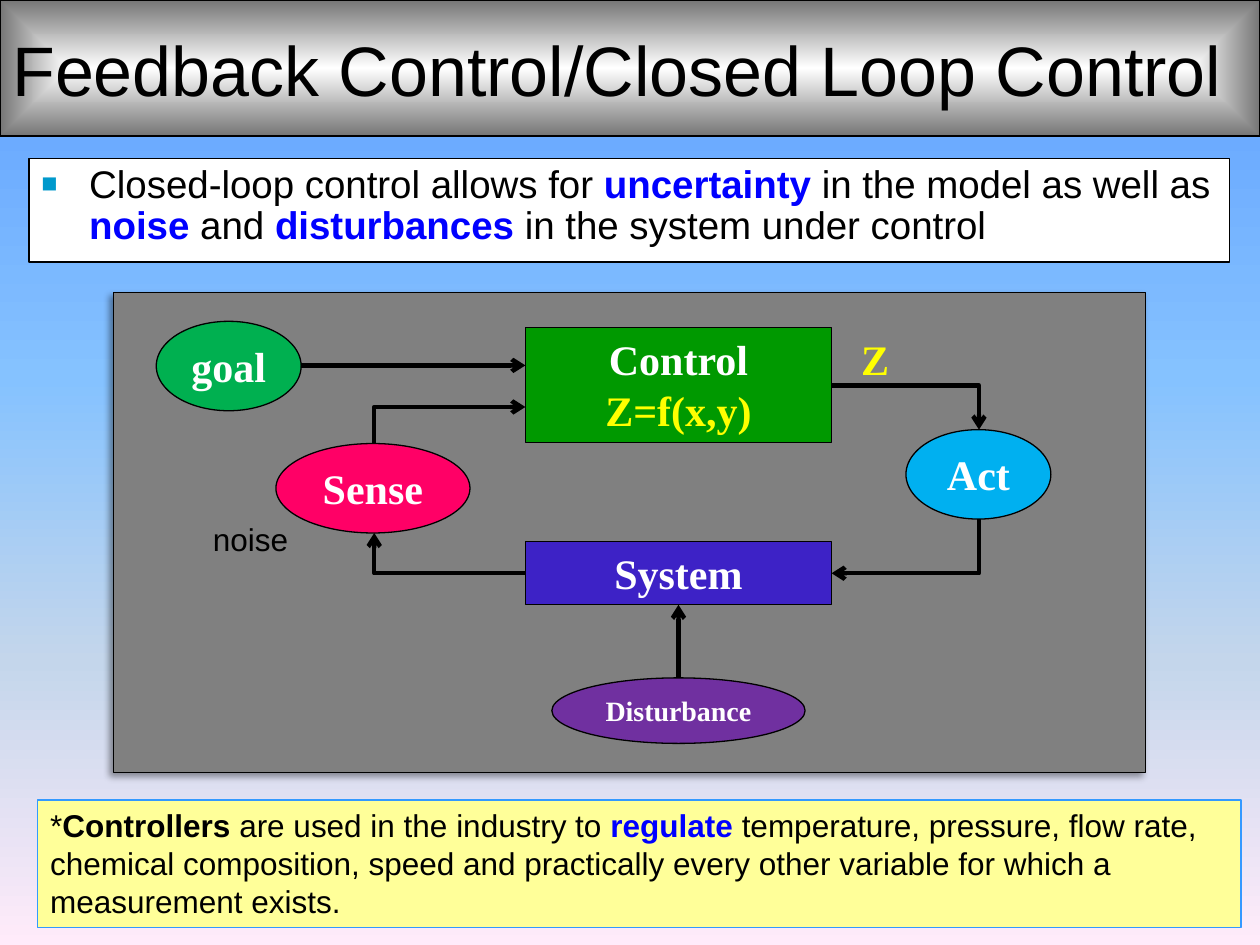
from pptx import Presentation
from pptx.dml.color import RGBColor
from pptx.enum.shapes import MSO_CONNECTOR, MSO_SHAPE
from pptx.enum.text import MSO_ANCHOR, MSO_AUTO_SIZE, PP_ALIGN
from pptx.oxml import parse_xml
from pptx.oxml.ns import nsdecls, qn
from pptx.util import Inches, Pt

BLACK = RGBColor(0x00, 0x00, 0x00)
WHITE = RGBColor(0xFF, 0xFF, 0xFF)
GREY = RGBColor(0x80, 0x80, 0x80)
EDGE_GREY = RGBColor(0x76, 0x76, 0x76)
BLUE = RGBColor(0x00, 0x00, 0xFF)
YELLOW = RGBColor(0xFF, 0xFF, 0x00)
PALE_YELLOW = RGBColor(0xFF, 0xFF, 0x99)
NOTE_EDGE = RGBColor(0x33, 0x99, 0xFF)
BULLET = RGBColor(0x00, 0x99, 0xCC)
GOAL_GREEN = RGBColor(0x00, 0xB0, 0x50)
CONTROL_GREEN = RGBColor(0x00, 0x99, 0x00)
SYSTEM_BLUE = RGBColor(0x3D, 0x22, 0xC6)
ACT_BLUE = RGBColor(0x00, 0xB0, 0xF0)
SENSE_PINK = RGBColor(0xFF, 0x00, 0x66)
DISTURBANCE_PURPLE = RGBColor(0x70, 0x30, 0xA0)
SKY = [(0, RGBColor(0x5E, 0x9E, 0xFF)), (40, RGBColor(0x85, 0xC2, 0xFF)),
       (70, RGBColor(0xC4, 0xD6, 0xEB)), (100, RGBColor(0xFF, 0xEB, 0xFA))]
SKY_SHADE = '<a:lin ang="5400000" scaled="0"/>'
TITLE_SHADE = '<a:path path="shape"><a:fillToRect l="50000" t="50000" r="50000" b="50000"/></a:path>'

BODY = {"name": "Arial", "size": Pt(18), "bold": False}
NODE = {"name": "Times New Roman", "size": Pt(24), "bold": True}
FITTED = {"auto_size": MSO_AUTO_SIZE.SHAPE_TO_FIT_TEXT}


def element(tag, content="", **attributes):
    values = " ".join(f'{key}="{value}"' for key, value in attributes.items())
    return parse_xml(f'<a:{tag} {nsdecls("a")} {values}>{content}</a:{tag}>')


def assign(target, values):
    for key, value in values.items():
        setattr(target, key, value)


class SlideBuilder:
    def __init__(self, page):
        self.page = page

    def gradient(self, owner, fill, stops, shade):
        fill.gradient()
        gradient = next(owner._element.iter(qn("a:gradFill")))
        for child in list(gradient):
            gradient.remove(child)
        marks = "".join(f'<a:gs pos="{place * 1000}"><a:srgbClr val="{color}"/></a:gs>'
                        for place, color in stops)
        wrapper = element("gradFill", f"<a:gsLst>{marks}</a:gsLst>{shade}")
        for child in list(wrapper):
            gradient.append(child)

    def shape(self, kind, place, color, edge=BLACK):
        box = self.page.shapes.add_shape(kind, *map(Inches, place))
        box.shadow.inherit = False
        box.fill.solid()
        box.fill.fore_color.rgb = color
        box.line.color.rgb = edge
        box.line.width = Pt(0.75)
        return box

    def drop_shadow(self, box):
        effects = box._element.spPr.find(qn("a:effectLst"))
        tint = '<a:srgbClr val="000000"><a:alpha val="40000"/></a:srgbClr>'
        effects.append(element("outerShdw", tint, blurRad=Pt(4), dist=Pt(3),
                               dir=135 * 60000, algn="tr", rotWithShape=0))

    def text(self, box, lines, style, color=BLACK, align=PP_ALIGN.LEFT, **frame_values):
        frame = box.text_frame
        assign(frame, {"word_wrap": True, "vertical_anchor": MSO_ANCHOR.TOP, **frame_values})
        for index, line in enumerate(lines):
            para = frame.add_paragraph() if index else frame.paragraphs[0]
            para.alignment = align
            for words, span_color, *bold in line:
                span = para.add_run()
                span.text = words
                assign(span.font, {**style, **({"bold": True} if bold else {})})
                span.font.color.rgb = span_color or color
        return frame

    def bullet(self, para, indent):
        para.line_spacing = 0.9
        properties = para._p.get_or_add_pPr()
        properties.set("marL", str(indent))
        properties.set("indent", str(-indent))
        properties.append(element("buClr", f'<a:srgbClr val="{BULLET}"/>'))
        properties.append(element("buSzPct", val=70000))
        properties.append(element("buFont", typeface="Arial"))
        properties.append(element("buChar", char="■"))

    def node(self, kind, place, color, lines, size=Pt(24)):
        box = self.shape(kind, place, color)
        self.text(box, lines, {**NODE, "size": size}, WHITE, PP_ALIGN.CENTER, **FITTED)
        return box

    def label(self, place, words, style, color, align=PP_ALIGN.LEFT):
        box = self.page.shapes.add_textbox(*map(Inches, place))
        self.text(box, [[(words, color)]], style, align=align, word_wrap=False, **FITTED)

    def arrow(self, start, end, kind=MSO_CONNECTOR.STRAIGHT):
        line = self.page.shapes.add_connector(kind, *map(Inches, (*start, *end)))
        line.line.color.rgb = BLACK
        line.line.width = Pt(2.5)
        line.line._get_or_add_ln().append(element("tailEnd", type="arrow"))
        line._element.spPr.append(element("effectLst"))
        return line

    def elbow(self, start, end, rotation):
        width, height = (abs(b - a) for a, b in zip(start, end))
        if rotation % 180:
            width, height = height, width
        middle_x, middle_y = ((a + b) / 2 for a, b in zip(start, end))
        left, top = middle_x - width / 2, middle_y - height / 2
        line = self.arrow((left, top), (left + width, top + height), MSO_CONNECTOR.ELBOW)
        properties = line._element.spPr
        properties.find(qn("a:prstGeom")).set("prst", "bentConnector2")
        properties.find(qn("a:xfrm")).set("rot", str(rotation * 60000))


def main():
    deck = Presentation()
    deck.slide_width, deck.slide_height = Inches(10), Inches(7.5)
    page = deck.slides.add_slide(deck.slide_layouts[6])
    builder = SlideBuilder(page)
    builder.gradient(page, page.background.fill, SKY, SKY_SHADE)
    rectangle, oval = MSO_SHAPE.RECTANGLE, MSO_SHAPE.OVAL

    builder.drop_shadow(builder.shape(rectangle, (0.9, 2.32, 8.19, 3.81), GREY))

    title = builder.shape(rectangle, (0, 0, 10, 1.08), WHITE)
    builder.gradient(title, title.fill, [(0, WHITE), (100, EDGE_GREY)], TITLE_SHADE)
    builder.text(title, [[("Feedback Control/Closed Loop Control", BLACK)]],
                 {**BODY, "size": Pt(40)}, word_wrap=False, vertical_anchor=MSO_ANCHOR.MIDDLE)

    summary = builder.shape(rectangle, (0.23, 1.26, 9.53, 0.82), WHITE)
    frame = builder.text(summary, [[
        ("Closed-loop control allows for ", BLACK), ("uncertainty ", BLUE, True),
        ("in the model as well as ", BLACK), ("noise", BLUE, True), (" and ", BLACK),
        ("disturbances ", BLUE, True), ("in the system under control", BLACK),
    ]], {**BODY, "size": Pt(22)})
    builder.bullet(frame.paragraphs[0], Inches(0.38))

    builder.node(oval, (1.24, 2.55, 1.15, 0.71), GOAL_GREEN, [[("goal", None)]])
    builder.node(rectangle, (4.17, 2.6, 2.43, 0.91), CONTROL_GREEN,
                 [[("Control", None)], [("Z=f(x,y)", YELLOW)]])
    system = builder.node(rectangle, (4.17, 4.3, 2.43, 0.5), SYSTEM_BLUE, [[("System", None)]])
    builder.node(oval, (7.19, 3.41, 1.15, 0.71), ACT_BLUE, [[("Act", None)]])
    builder.node(oval, (2.19, 3.52, 1.54, 0.71), SENSE_PINK, [[("Sense", None)]])
    disturbance = builder.node(oval, (4.38, 5.38, 2.01, 0.52), DISTURBANCE_PURPLE,
                               [[("Disturbance", None)]], Pt(16))

    builder.arrow((2.39, 2.9), (4.17, 2.9))
    upward = builder.arrow((5.39, 5.38), (5.39, 4.8))
    upward.begin_connect(disturbance, 0)
    upward.end_connect(system, 2)
    for start, end, rotation in (
        ((6.6, 3.06), (7.77, 3.41), 0),
        ((7.77, 4.12), (6.6, 4.55), 90),
        ((4.17, 4.55), (2.97, 4.23), 180),
        ((2.97, 3.52), (4.17, 3.23), 270),
    ):
        builder.elbow(start, end, rotation)

    builder.label((6.73, 2.6, 0.43, 0.51), "Z", NODE, YELLOW, PP_ALIGN.CENTER)
    note = builder.shape(rectangle, (0.3, 6.35, 9.55, 1.01), PALE_YELLOW, NOTE_EDGE)
    builder.text(note, [[
        ("*", BLACK), ("Controllers ", BLACK, True), ("are used in the industry to ", BLACK),
        ("regulate ", BLUE, True),
        ("temperature, pressure, flow rate, chemical composition, speed and practically "
         "every other variable for which a measurement exists.", BLACK),
    ]], BODY, **FITTED)
    builder.label((1.59, 4.08, 0.81, 0.4), "noise", BODY, BLACK)

    deck.save("out.pptx")


if __name__ == "__main__":
    main()
